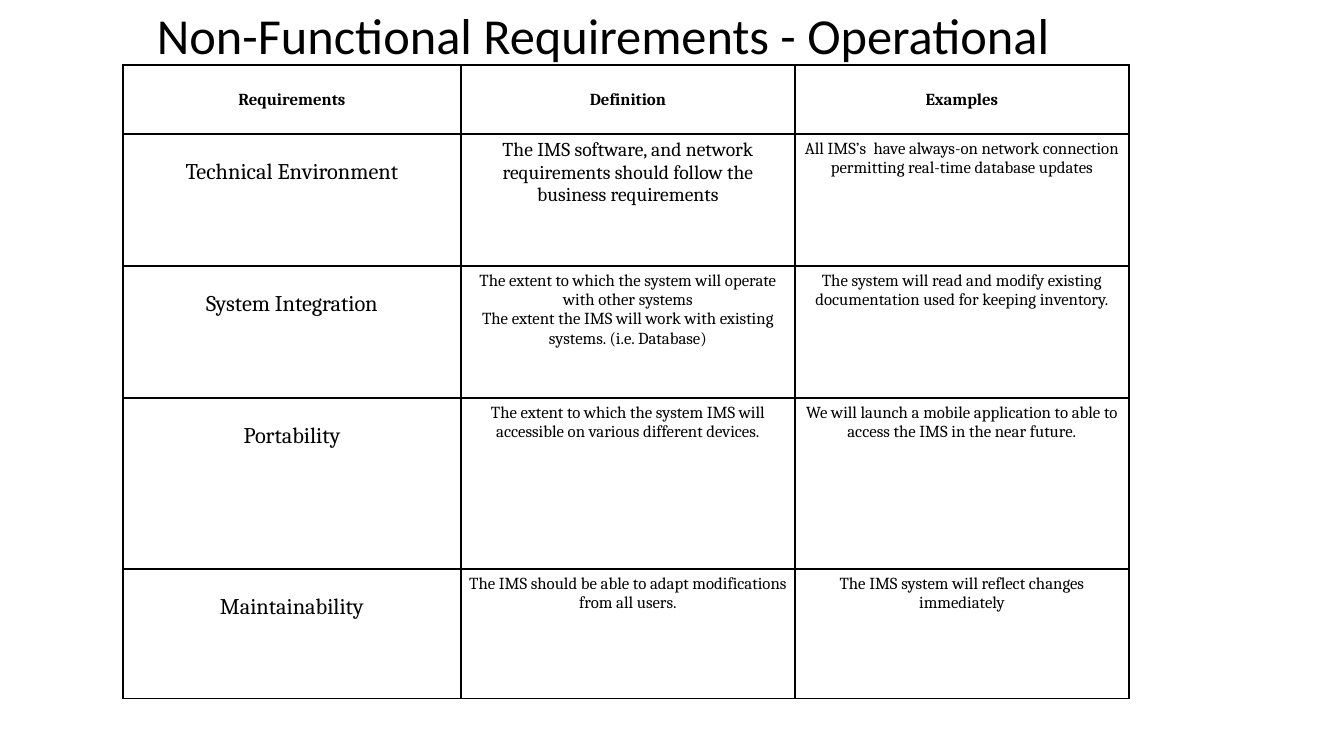
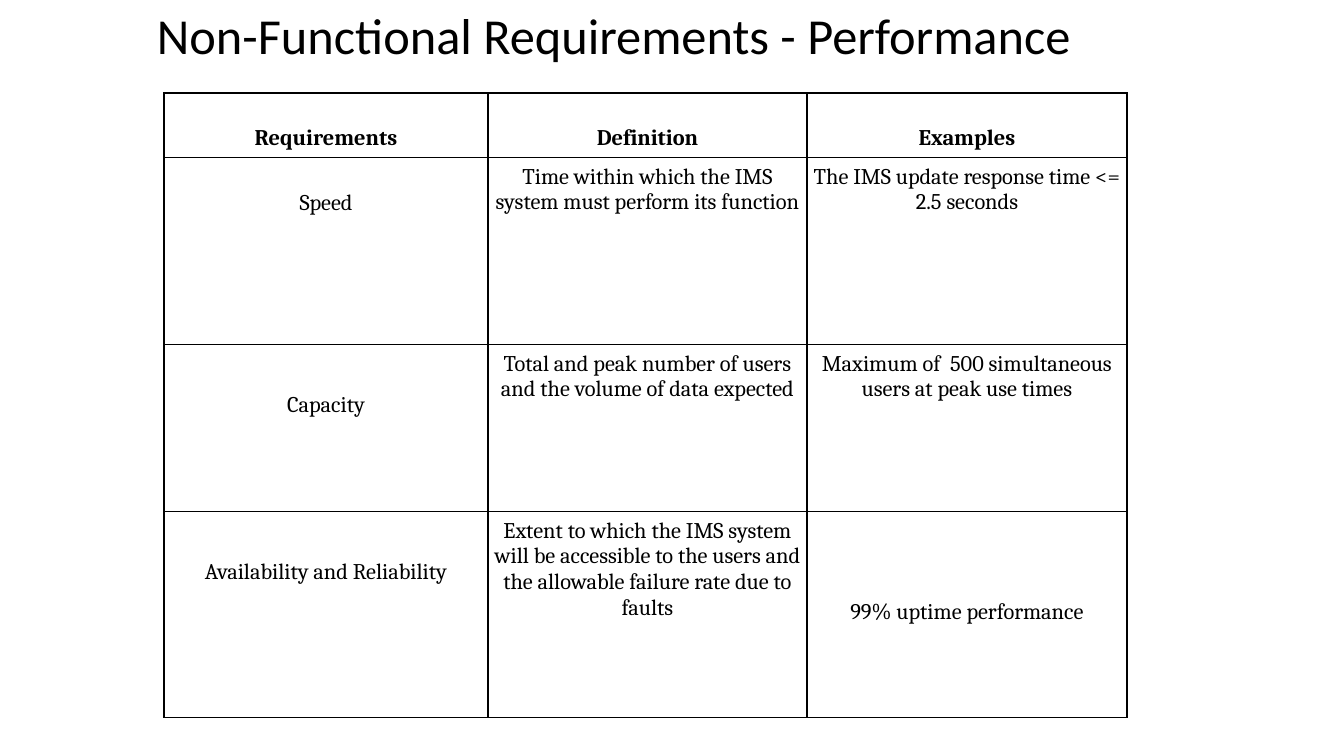
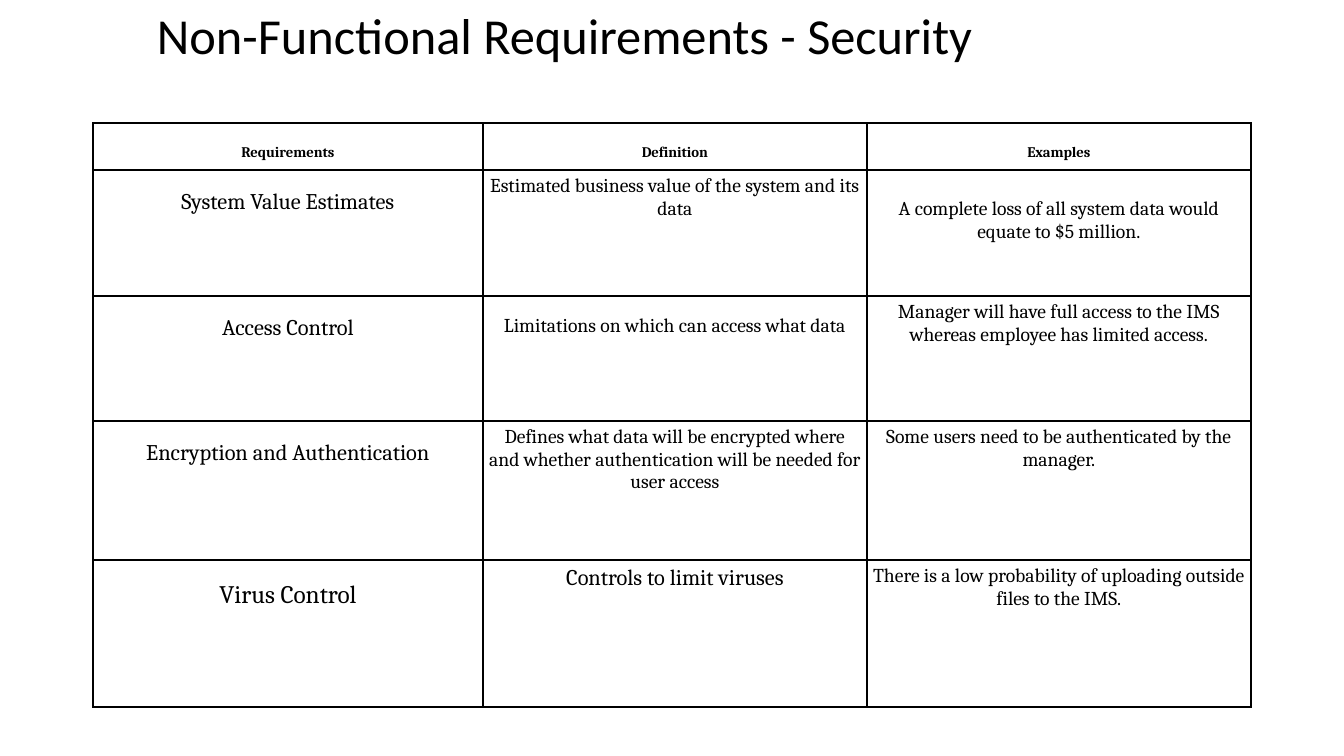
from pptx import Presentation
from pptx.dml.color import RGBColor
from pptx.enum.text import MSO_ANCHOR, PP_ALIGN
from pptx.oxml import parse_xml
from pptx.oxml.ns import nsdecls
from pptx.util import Pt

MID, TOP = MSO_ANCHOR.MIDDLE, MSO_ANCHOR.TOP
LEFT, CENTER = PP_ALIGN.LEFT, PP_ALIGN.CENTER
SCALE = 914400 / 100.8
INK = "000000"
HEAD = "Non-Functional Requirements - "
COLS = ["Requirements", "Definition", "Examples"]

PAGES = [
    {
        "name": "Operational", "at": (123, 65), "pad": 5, "head": (12, 20),
        "cols": [338, 334, 334], "rows": [69, 132, 132, 171, 130],
        "cells": [
            [("Technical Environment", 16, 20),
             ("The IMS software, and network requirements should follow the business requirements", 14, 0),
             ("All IMS’s  have always-on network connection permitting real-time database updates", 12, 0)],
            [("System Integration", 16, 20),
             ("The extent to which the system will operate with other systems\n"
              "The extent the IMS will work with existing systems. (i.e. Database)", 12, 0),
             ("The system will read and modify existing documentation used for keeping inventory.", 12, 0)],
            [("Portability", 16, 20),
             ("The extent to which the system IMS will accessible on various different devices.", 12, 0),
             ("We will launch a mobile application to able to access the IMS in the near future.", 12, 0)],
            [("Maintainability", 16, 20),
             ("The IMS should be able to adapt modifications from all users.", 12, 0),
             ("The IMS system will reflect changes immediately", 12, 0)],
        ],
    },
    {
        "name": "Performance", "at": (164, 93), "pad": 6, "head": (16, 26),
        "cols": [324, 319, 320], "rows": [64, 187, 167, 206],
        "cells": [
            [("Speed", 16, 26),
             ("Time within which the IMS system must perform its function", 16, 0),
             ("The IMS update response time <= 2.5 seconds", 16, 0)],
            [("Capacity", 16, 41),
             ("Total and peak number of users and the volume of data expected", 16, 0),
             ("Maximum of  500 simultaneous users at peak use times", 16, 0)],
            [("Availability and Reliability", 16, 41),
             ("Extent to which the IMS system will be accessible to the users "
              "and the allowable failure rate due to faults", 16, 0),
             ("99% uptime performance", 16, 81)],
        ],
    },
    {
        "name": "Security", "at": (93, 123), "pad": 5, "head": (10.5, 16),
        "cols": [390, 384, 384], "rows": [47, 126, 125, 139, 147],
        "cells": [
            [("System Value Estimates", 16, 14),
             ("Estimated business value of the system and its data", 14, 0),
             ("A complete loss of all system data would equate to $5 million.", 14, 23)],
            [("Access Control", 16, 14),
             ("Limitations on which can access what data", 14, 14),
             ("Manager will have full access to the IMS whereas employee has limited access.", 14, 0)],
            [("Encryption and Authentication", 16, 14),
             ("Defines what data will be encrypted where and whether "
              "authentication will be needed for user access", 14, 0),
             ("Some users need to be authenticated by the manager.", 14, 0)],
            [("Virus Control", 18, 16),
             ("Controls to limit viruses", 16, 0),
             ("There is a low probability of uploading outside files to the IMS.", 14, 0)],
        ],
    },
]


def px(n):
    return round(n * SCALE)


def color(code):
    return RGBColor.from_string(code)


def style(frame, face, size, bold, align):
    for para in frame.paragraphs:
        para.alignment = align
        for run in para.runs:
            font = run.font
            font.name, font.size, font.bold = face, Pt(size), bold
            font.color.rgb = color(INK)


def title(slide, name):
    box = slide.shapes.add_textbox(px(147), px(-13), px(1159), px(103))
    frame = box.text_frame
    frame.word_wrap = True
    frame.vertical_anchor = MID
    frame.text = HEAD + name
    frame.paragraphs[0].line_spacing = 0.9
    style(frame, "Calibri", 36, False, LEFT)


def border(cell):
    props = cell._tc.get_or_add_tcPr()
    for i, side in enumerate("LRTB"):
        props.insert(i, parse_xml(
            f'<a:ln{side} {nsdecls("a")} w="12700"><a:solidFill>'
            f'<a:srgbClr val="{INK}"/></a:solidFill></a:ln{side}>'))


def fill(cell, item, pad, bold):
    text, size, gap = item
    cell.text = text
    cell.fill.background()
    cell.vertical_anchor = TOP
    cell.margin_left = cell.margin_right = cell.margin_bottom = px(pad)
    cell.margin_top = px(pad + gap)
    style(cell.text_frame, "Cambria", size, bold, CENTER)
    border(cell)


def grid(slide, page):
    cols, rows = page["cols"], page["rows"]
    x, y = page["at"]
    table = slide.shapes.add_table(
        len(rows), len(cols), px(x), px(y), px(sum(cols)), px(sum(rows))).table
    table.first_row = table.horz_banding = False
    for col, width in zip(table.columns, cols):
        col.width = px(width)
    for row, height in zip(table.rows, rows):
        row.height = px(height)
    head = [(text, *page["head"]) for text in COLS]
    for r, line in enumerate([head] + page["cells"]):
        for c, item in enumerate(line):
            fill(table.cell(r, c), item, page["pad"], r == 0)


def main():
    deck = Presentation()
    deck.slide_width, deck.slide_height = px(1344), px(756)
    for page in PAGES:
        slide = deck.slides.add_slide(deck.slide_layouts[6])
        title(slide, page["name"])
        grid(slide, page)
    deck.save("out.pptx")


if __name__ == "__main__":
    main()
